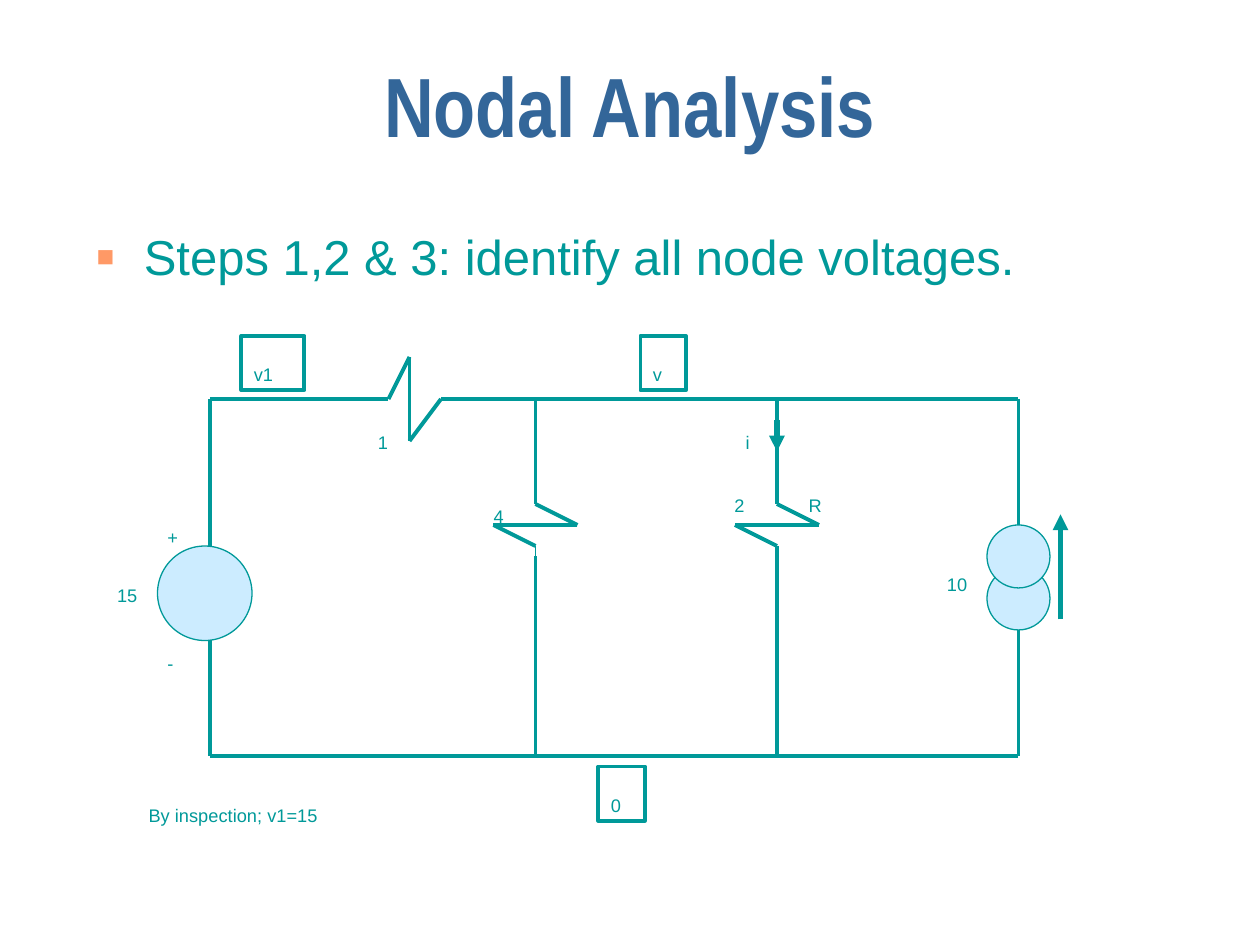
"""Build a slide showing nodal analysis of a small circuit."""
from dataclasses import dataclass
from itertools import pairwise
from typing import Any

import lxml.etree
import pptx
import pptx.dml.color
import pptx.enum.shapes
import pptx.enum.text
import pptx.oxml
import pptx.oxml.ns
import pptx.util

Pt = pptx.util.Pt
RGB = pptx.dml.color.RGBColor
Shape = pptx.enum.shapes.MSO_SHAPE
Align = pptx.enum.text.PP_ALIGN
Anchor = pptx.enum.text.MSO_ANCHOR
Fit = pptx.enum.text.MSO_AUTO_SIZE
qn = pptx.oxml.ns.qn

TEAL = RGB(0x00, 0x99, 0x99)
BLUE = RGB(0x33, 0x66, 0x99)
PALE = RGB(0xCC, 0xEC, 0xFF)
ORANGE = RGB(0xFF, 0x99, 0x66)

LEFT, MID, LOAD, RIGHT = 120, 306, 444, 582
TOP, BASE = 228, 432
THIN, WIDE, BOLD = 0.75, 2.25, 3


@dataclass
class Wire:
    points: list[tuple[float, float]]
    width: float = WIDE
    arrow: bool = False


@dataclass
class Disc:
    left: float
    top: float
    size: float


@dataclass
class Label:
    text: str
    left: float
    top: float
    width: float
    boxed: bool = False


def zigzag(x: float) -> list[tuple[float, float]]:
    return [(x, TOP), (x, 288), (x + 24, 300), (x - 24, 300), (x, 312)]


DISCS = [Disc(90, 312, 54), Disc(564, 324, 36), Disc(564, 300, 36)]

WIRES = [
    Wire([(LEFT, 312), (LEFT, TOP), (222, TOP), (234, 204), (234, 252),
          (252, TOP), (RIGHT, TOP), (RIGHT, 300)]),
    Wire([(LEFT, 366), (LEFT, BASE), (RIGHT, BASE), (RIGHT, 360)]),
    Wire(zigzag(MID)),
    Wire([(MID, 312), (MID, 318)], THIN),
    Wire([(MID, 318), (MID, BASE)]),
    Wire(zigzag(LOAD) + [(LOAD, BASE)]),
    Wire([(606, 354), (606, 294)], BOLD, True),
    Wire([(LOAD, 240), (LOAD, 258)], BOLD, True),
]

LABELS = [
    Label("+", 88.6, 285, 25),
    Label("-", 88.6, 357, 20),
    Label("1", 208.8, 231, 24.5),
    Label("4", 275, 273, 24.5),
    Label("2", 412.6, 267, 24.5),
    Label("15", 59.8, 318, 34.6),
    Label("10", 534, 312, 34.6),
    Label("R", 455, 267, 27.4),
    Label("i", 419, 231, 18.7),
    Label("v", 366, 192, 26, True),
    Label("0", 342, 438, 26.6, True),
    Label("v1", 138, 192, 36, True),
    Label("By inspection; v1=15", 77.8, 444, 180.7),
]


def place(shape: Any, left: float, top: float, width: float, height: float) -> None:
    shape.left, shape.top = Pt(left), Pt(top)
    shape.width, shape.height = Pt(width), Pt(height)


def style(para: Any, face: str, size: float, color: RGB) -> None:
    para.font.name = face
    para.font.size = Pt(size)
    para.font.color.rgb = color


def outline(shape: Any, width: float) -> None:
    shape.shadow.inherit = False
    shape.line.color.rgb = TEAL
    shape.line.width = Pt(width)


def draw_wire(shapes: Any, wire: Wire) -> None:
    for (x1, y1), (x2, y2) in pairwise(wire.points):
        line = shapes.add_connector(
            pptx.enum.shapes.MSO_CONNECTOR.STRAIGHT, Pt(x1), Pt(y1), Pt(x2), Pt(y2))
        line.line.color.rgb = TEAL
        line.line.width = Pt(wire.width)
        props = line._element.spPr
        if wire.arrow:
            lxml.etree.SubElement(props.find(qn("a:ln")), qn("a:tailEnd"), type="triangle")
        lxml.etree.SubElement(props, qn("a:effectLst"))


def draw_disc(shapes: Any, disc: Disc) -> None:
    oval = shapes.add_shape(
        Shape.OVAL, Pt(disc.left), Pt(disc.top), Pt(disc.size), Pt(disc.size))
    oval.fill.solid()
    oval.fill.fore_color.rgb = PALE
    outline(oval, THIN)


def draw_label(shapes: Any, label: Label) -> None:
    area = Pt(label.left), Pt(label.top), Pt(label.width), Pt(31 if label.boxed else 29)
    if label.boxed:
        box = shapes.add_shape(Shape.RECTANGLE, *area)
        box.fill.background()
        outline(box, WIDE)
    else:
        box = shapes.add_textbox(*area)
    frame = box.text_frame
    frame.word_wrap = False
    frame.auto_size = Fit.SHAPE_TO_FIT_TEXT
    frame.vertical_anchor = Anchor.TOP
    para = frame.paragraphs[0]
    para.alignment = Align.LEFT
    run = para.add_run()
    run.text = label.text
    run._r.get_or_add_rPr().set("baseline", "-25000")
    style(para, "Arial", 18, TEAL)


def fill_title(title: Any) -> None:
    place(title, 36, 21.6, 648, 90)
    title.text_frame.text = "Nodal Analysis"
    title.text_frame.vertical_anchor = Anchor.MIDDLE
    para = title.text_frame.paragraphs[0]
    para.alignment = Align.CENTER
    para.line_spacing = 0.7
    style(para, "Arial Narrow", 48, BLUE)
    para.font.bold = True


def fill_body(body: Any) -> None:
    place(body, 48, 126, 588, 348)
    body.text_frame.text = "Steps 1,2 & 3: identify all node voltages."
    para = body.text_frame.paragraphs[0]
    para.space_before = Pt(5.6)
    props = para._p.get_or_add_pPr()
    props.set("marL", str(Pt(27)))
    props.set("indent", str(Pt(-27)))
    tint = lxml.etree.SubElement(props, qn("a:buClr"))
    lxml.etree.SubElement(tint, qn("a:srgbClr"), val=str(ORANGE))
    lxml.etree.SubElement(props, qn("a:buSzPct"), val="60000")
    lxml.etree.SubElement(props, qn("a:buFont"), typeface="Arial")
    lxml.etree.SubElement(props, qn("a:buChar"), char="■")
    style(para, "Arial", 28, TEAL)


def main() -> None:
    deck = pptx.Presentation()
    deck.slide_width, deck.slide_height = Pt(720), Pt(540)
    slide = deck.slides.add_slide(deck.slide_layouts[1])
    fill_title(slide.shapes.title)
    fill_body(slide.placeholders[1])
    for disc in DISCS:
        draw_disc(slide.shapes, disc)
    for wire in WIRES:
        draw_wire(slide.shapes, wire)
    for label in LABELS:
        draw_label(slide.shapes, label)
    deck.save("out.pptx")


if __name__ == "__main__":
    main()
